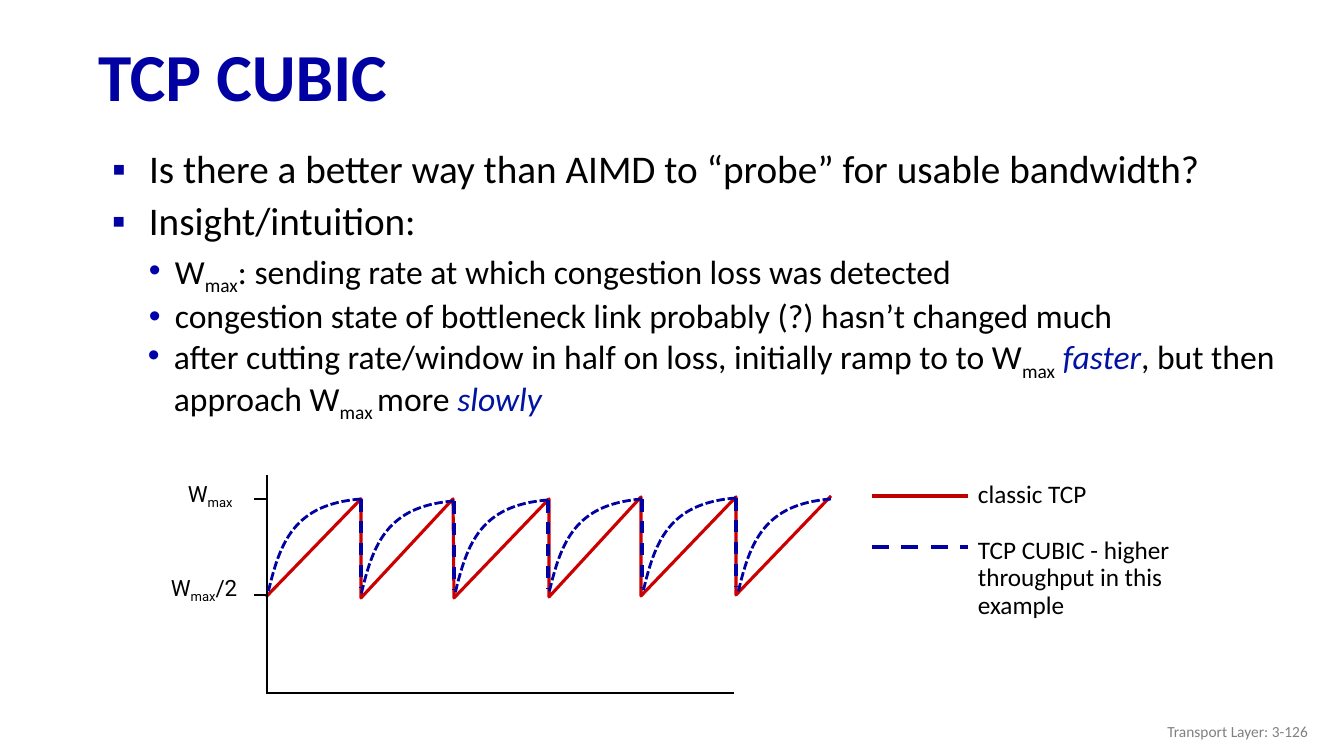
from lxml.etree import SubElement as Sub
from pptx import Presentation
from pptx.dml.color import RGBColor as RGB
from pptx.enum.dml import MSO_LINE as Dash
from pptx.enum.shapes import MSO_CONNECTOR as Conn
from pptx.enum.text import MSO_ANCHOR as Anchor, MSO_AUTO_SIZE as Fit, PP_ALIGN as Align
from pptx.oxml.ns import qn
from pptx.util import Pt

# Colours
NAVY = RGB(0x00, 0x00, 0xA3)
DOT = RGB(0x00, 0x00, 0xA8)
BLUE = RGB(0x00, 0x13, 0xA3)
RED = RGB(0xCC, 0x00, 0x00)
KEY = RGB(0xC0, 0x00, 0x00)
BLACK = RGB(0, 0, 0)
GRAY = RGB(0x80, 0x80, 0x80)

# Run formats
SUB = {"base": -25000}
EM = {"color": BLUE, "italic": True}

# Content: each block is a box and its items (level, runs)
TITLE = "TCP CUBIC"
BODY = ((88, 145, 1231, 512), [
    (0, [("Is there a better way than AIMD to “probe” for usable bandwidth?", {})]),
])
BLOCKS = [
    ((88, 197, 1231, 512), [
        (0, [("Insight/intuition:", {})]),
        (1, [("W", {}), ("max", SUB),
             (": sending rate at which congestion loss was detected", {})]),
        (1, [("congestion state of bottleneck link probably (?) hasn’t changed much", {})]),
    ]),
    ((87, 332, 1231, 99), [
        (1, [("after cutting rate/window in half on loss, initially ramp to to W", {}),
             ("max", SUB), (" faster", EM), (", but then approach W", {}),
             ("max ", SUB), ("more ", {}), ("slowly", EM)]),
    ]),
]
LEVELS = [  # size, space before, margin, indent, bullet, bullet colour
    (28, 10, 51, -37, "▪", NAVY),
    (24, 5, 77, -26, "•", DOT),
]
ROBOTO = {"size": 16, "name": "Roboto"}
LEGEND = {"size": 18}
LABELS = [  # box, wrap, line spacing, base format, runs
    ((178, 475, 69, 37), False, 1, ROBOTO, [("W", {}), ("max", SUB)]),
    ((161, 569, 90, 37), False, 1, ROBOTO, [("W", {}), ("max", SUB), ("/2", {})]),
    ((968, 473, 130, 40), False, 1, LEGEND, [("classic TCP", {})]),
    ((968, 533, 241, 93), True, 0.9, LEGEND,
     [("TCP CUBIC - higher throughput in this example", {})]),
]
FOOT = "Transport Layer: 3-126"

# Plot data
SAW = [(266, 597), (361, 499), (361, 598), (453, 499), (454, 598), (549, 499),
       (549, 597), (641, 497), (641, 596), (736, 497), (736, 595), (831, 496)]
PEAKS = [(361, 499), (454, 501), (548, 500), (642, 499), (736, 498), (831, 499)]
WIDE, TALL, DROP = 93, 94, 88
BEND = [(26, 5), (12, 43), (0, TALL)]
LINES = [  # from, to, colour, width, dash
    ((266, 693), (734, 693), BLACK, 1.5, None),
    ((267, 475), (267, 694), BLACK, 1.5, None),
    ((254, 499), (266, 499), BLACK, 1.5, None),
    ((254, 595), (266, 595), BLACK, 1.5, None),
    ((872, 496), (968, 496), KEY, 3, None),
    ((872, 547), (968, 547), NAVY, 3, Dash.DASH),
]

SCALE = 914400 / 100.8


def px(n):
    return round(n * SCALE)


def place(shape, box):
    for key, n in zip(("left", "top", "width", "height"), box):
        setattr(shape, key, px(n))


def write(para, runs, form):
    for text, more in runs:
        run = para.add_run()
        run.text = text
        look = {"size": 18, "name": "Calibri", "color": BLACK, **form, **more}
        for key, val in look.items():
            if key == "color":
                run.font.color.rgb = val
            elif key == "base":
                run._r.get_or_add_rPr().set("baseline", str(val))
            else:
                setattr(run.font, key, Pt(val) if key == "size" else val)


def bullet(para, margin, indent, char, color):
    ppr = para._p.get_or_add_pPr()
    ppr.set("marL", str(px(margin)))
    ppr.set("indent", str(px(indent)))
    Sub(Sub(ppr, qn("a:buClr")), qn("a:srgbClr")).set("val", str(color))
    Sub(ppr, qn("a:buFont")).set("typeface", "Arial")
    Sub(ppr, qn("a:buChar")).set("char", char)


def fill(shape, box, items):
    place(shape, box)
    frame = shape.text_frame
    frame.auto_size, frame.word_wrap = Fit.NONE, True
    frame.vertical_anchor = Anchor.TOP
    for i, (level, runs) in enumerate(items):
        para = frame.add_paragraph() if i else frame.paragraphs[0]
        size, gap, *mark = LEVELS[level]
        bullet(para, *mark)
        para.level, para.line_spacing = level, 0.9
        para.space_before = Pt(gap if i else 0)
        write(para, runs, {"size": size})


def stroke(shape, color, width, dash=None):
    shape.line.color.rgb = color
    shape.line.width = Pt(width)
    if dash:
        shape.line.dash_style = dash


def line(shapes, start, end, *look):
    conn = shapes.add_connector(Conn.STRAIGHT, *map(px, start + end))
    stroke(conn, *look)
    Sub(conn._element.spPr, qn("a:effectLst"))


def trace(shapes, points, *look):
    pen = shapes.build_freeform(*points[0], scale=SCALE)
    pen.add_line_segments(points[1:], close=False)
    form = pen.convert_to_shape()
    form.fill.background()
    form.shadow.inherit = False
    stroke(form, *look)
    return form


def curve(shapes, x, y):
    ends = [(x, y), (x - WIDE, y + TALL)]
    form = trace(shapes, ends, NAVY, 2, Dash.SQUARE_DOT)
    # Turn the straight segment into one cubic curve
    seg = next(form._element.iter(qn("a:lnTo")))
    track = seg.getparent()
    track.remove(seg)
    arc = Sub(track, qn("a:cubicBezTo"))
    for dx, dy in BEND:
        dot = Sub(arc, qn("a:pt"))
        dot.set("x", str(dx))
        dot.set("y", str(dy))


def label(shapes, box, wrap, space, form, runs):
    shape = shapes.add_textbox(*map(px, box))
    shape.text_frame.word_wrap = wrap
    para = shape.text_frame.paragraphs[0]
    para.line_spacing = space
    write(para, runs, form)
    return shape


def main():
    deck = Presentation()
    deck.slide_width, deck.slide_height = px(1344), px(756)
    slide = deck.slides.add_slide(deck.slide_layouts[1])
    shapes = slide.shapes

    # Title and lists
    title = shapes.title
    place(title, (88, 30, 1256, 99))
    frame = title.text_frame
    frame.auto_size, frame.vertical_anchor = Fit.NONE, Anchor.MIDDLE
    head = frame.paragraphs[0]
    head.alignment, head.line_spacing = Align.LEFT, 0.9
    write(head, [(TITLE, {})], {"size": 48, "color": NAVY, "bold": True})
    fill(slide.placeholders[1], *BODY)

    # Plot and legend
    trace(shapes, SAW, RED, 2.25)
    for item in LINES:
        line(shapes, *item)
    for item in LABELS:
        label(shapes, *item)
    for x, y in PEAKS:
        curve(shapes, x, y)
        if (x, y) != PEAKS[-1]:
            line(shapes, (x, y), (x, y + DROP), NAVY, 2.25, Dash.DASH)

    # Further list blocks
    for box, items in BLOCKS:
        fill(shapes.add_textbox(0, 0, 0, 0), box, items)

    # Footer
    foot = label(shapes, (1016, 711, 302, 40), True, 1,
                 {"size": 11, "color": GRAY}, [(FOOT, {})])
    foot.text_frame.vertical_anchor = Anchor.MIDDLE
    foot.text_frame.paragraphs[0].alignment = Align.RIGHT

    deck.save("out.pptx")


if __name__ == "__main__":
    main()
